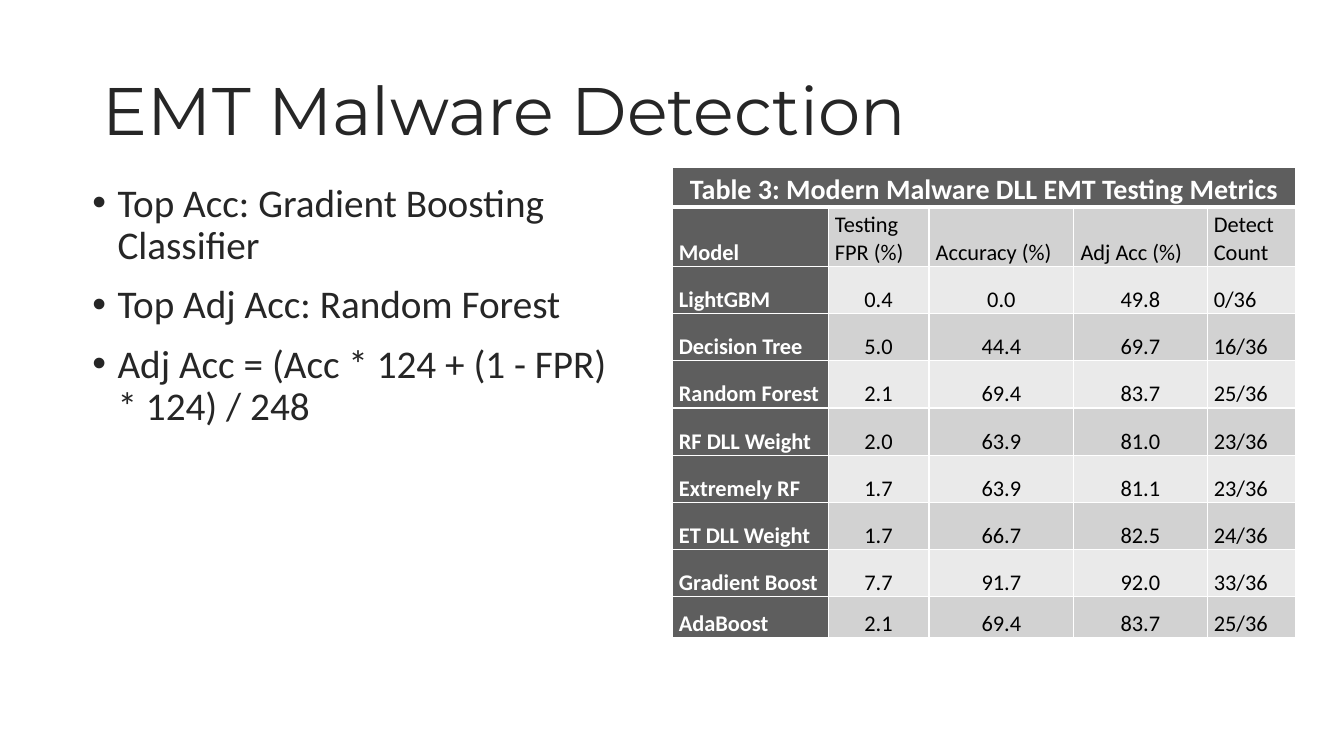
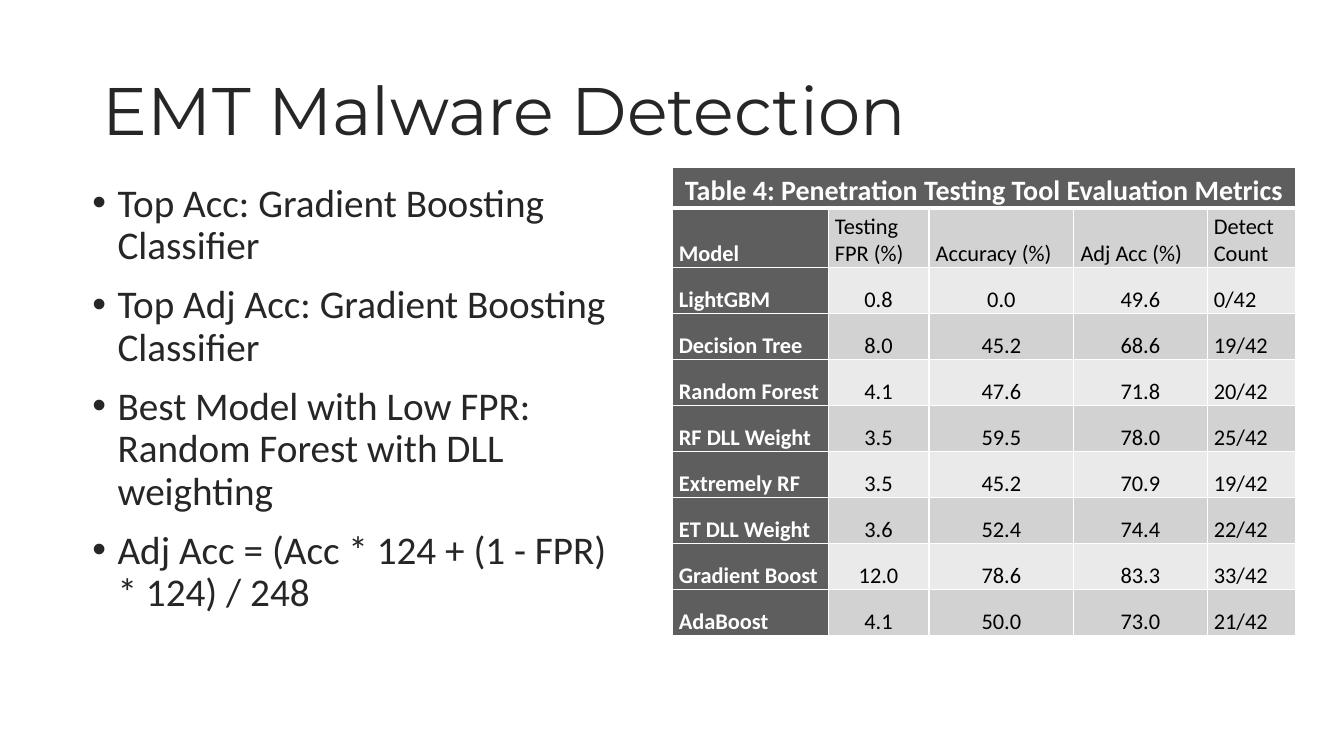
"""Build two slides of malware detection results, each with bullets and a metrics table."""
from lxml import etree
from pptx import Presentation
from pptx.dml.color import RGBColor
from pptx.enum.text import MSO_ANCHOR, MSO_AUTO_SIZE, PP_ALIGN
from pptx.oxml.ns import qn
from pptx.util import Cm, Pt

LEFT, CENTER, JUSTIFY = PP_ALIGN.LEFT, PP_ALIGN.CENTER, PP_ALIGN.JUSTIFY
MIDDLE, BOTTOM = MSO_ANCHOR.MIDDLE, MSO_ANCHOR.BOTTOM
NO_AUTOFIT = MSO_AUTO_SIZE.NONE

COLORS = {
    "text": "262626",
    "header": "5E5E5E",
    "dark_band": "D2D2D2",
    "light_band": "EAEAEA",
    "white": "FFFFFF",
    "black": "000000",
}
TITLE_FONT, BODY_FONT = "Montserrat", "Calibri"
TITLE = "EMT Malware Detection"
FORMULA = "Adj Acc = (Acc * 124 + (1 - FPR) * 124) / 248"
COLUMNS = ["Model", "Testing FPR (%)", "Accuracy (%)", "Adj Acc (%)", "Detect Count"]
COLUMN_WIDTHS = [3.93, 2.54, 3.65, 3.36, 2.23]
VALUE_ALIGNMENTS = [JUSTIFY, CENTER, CENTER, CENTER, LEFT]

SLIDES = [
    {
        "bullets": [
            "Top Acc: Gradient Boosting Classifier",
            "Top Adj Acc: Random Forest",
            FORMULA,
        ],
        "caption": "Table 3: Modern Malware DLL EMT Testing Metrics",
        "metrics": [
            ("LightGBM", "0.4", "0.0", "49.8", "0/36"),
            ("Decision Tree", "5.0", "44.4", "69.7", "16/36"),
            ("Random Forest", "2.1", "69.4", "83.7", "25/36"),
            ("RF DLL Weight", "2.0", "63.9", "81.0", "23/36"),
            ("Extremely RF", "1.7", "63.9", "81.1", "23/36"),
            ("ET DLL Weight", "1.7", "66.7", "82.5", "24/36"),
            ("Gradient Boost", "7.7", "91.7", "92.0", "33/36"),
            ("AdaBoost", "2.1", "69.4", "83.7", "25/36"),
        ],
        "row_heights": [0.99, 1.5] + [1.19] * 7 + [1.02],
    },
    {
        "bullets": [
            "Top Acc: Gradient Boosting Classifier",
            "Top Adj Acc: Gradient Boosting Classifier",
            "Best Model with Low FPR: Random Forest with DLL weighting",
            FORMULA,
        ],
        "caption": "Table 4: Penetration Testing Tool Evaluation Metrics",
        "metrics": [
            ("LightGBM", "0.8", "0.0", "49.6", "0/42"),
            ("Decision Tree", "8.0", "45.2", "68.6", "19/42"),
            ("Random Forest", "4.1", "47.6", "71.8", "20/42"),
            ("RF DLL Weight", "3.5", "59.5", "78.0", "25/42"),
            ("Extremely RF", "3.5", "45.2", "70.9", "19/42"),
            ("ET DLL Weight", "3.6", "52.4", "74.4", "22/42"),
            ("Gradient Boost", "12.0", "78.6", "83.3", "33/42"),
            ("AdaBoost", "4.1", "50.0", "73.0", "21/42"),
        ],
        "row_heights": [1.02, 1.5] + [1.16] * 8,
    },
]


def format_runs(paragraph, font_name, size, color, bold=False):
    for run in paragraph.runs:
        run.font.name = font_name
        run.font.size = Pt(size)
        run.font.bold = bold
        run.font.color.rgb = RGBColor.from_string(COLORS[color])


def set_title(slide):
    title = slide.shapes.title
    title.left, title.top, title.width, title.height = Cm(2.34), Cm(1.02), Cm(29.21), Cm(3.68)
    text_frame = title.text_frame
    text_frame.text = TITLE
    text_frame.auto_size = NO_AUTOFIT
    text_frame.vertical_anchor = MIDDLE
    paragraph = text_frame.paragraphs[0]
    paragraph.alignment = LEFT
    paragraph.line_spacing = 0.9
    format_runs(paragraph, TITLE_FONT, 48, "text")


def add_bullets(slide, bullets):
    text_box = slide.shapes.add_textbox(Cm(2.08), Cm(4.5), Cm(13.74), Cm(13.28))
    text_frame = text_box.text_frame
    text_frame.word_wrap = True
    text_frame.text = "\n".join(bullets)
    for paragraph in text_frame.paragraphs:
        paragraph.line_spacing = 0.9
        paragraph.space_before = Pt(12)
        format_runs(paragraph, BODY_FONT, 28, "text")
        properties = paragraph._p.get_or_add_pPr()
        indent = Pt(18)
        properties.set("marL", str(indent))
        properties.set("indent", str(-indent))
        etree.SubElement(properties, qn("a:buFont"), typeface="Arial")
        etree.SubElement(properties, qn("a:buChar"), char="•")


def set_borders(cell, top, bottom):
    properties = cell._tc.get_or_add_tcPr()
    for side, width in (("L", 1), ("R", 1), ("T", top), ("B", bottom)):
        line = etree.SubElement(properties, qn(f"a:ln{side}"), w=str(Pt(width)))
        fill = etree.SubElement(line, qn("a:solidFill"))
        etree.SubElement(fill, qn("a:srgbClr"), val=COLORS["white"])


def format_cell(cell, row, column):
    set_borders(cell, top=3 if row == 1 else 1, bottom=3 if row == 0 else 1)
    is_header = row == 0 or column == 0
    band = "dark_band" if row % 2 else "light_band"
    cell.fill.solid()
    cell.fill.fore_color.rgb = RGBColor.from_string(COLORS["header" if is_header else band])
    cell.vertical_anchor = BOTTOM
    cell.margin_left = cell.margin_right = Cm(0.17)
    cell.margin_top = cell.margin_bottom = 0
    paragraph = cell.text_frame.paragraphs[0]
    paragraph.space_after = Pt(6)
    if row == 0:
        paragraph.alignment = CENTER
    else:
        paragraph.alignment = JUSTIFY if row == 1 else VALUE_ALIGNMENTS[column]
    format_runs(paragraph, BODY_FONT, 16 if row else 20, "white" if is_header else "black", is_header)


def add_metrics_table(slide, caption, metrics, row_heights):
    rows = [[caption], COLUMNS, *metrics]
    frame = slide.shapes.add_table(
        len(rows), len(COLUMNS), Cm(16.94), Cm(4.22), Cm(sum(COLUMN_WIDTHS)), Cm(sum(row_heights))
    )
    table = frame.table
    for column, width in zip(table.columns, COLUMN_WIDTHS):
        column.width = Cm(width)
    for row, height in zip(table.rows, row_heights):
        row.height = Cm(height)
    table.cell(0, 0).merge(table.cell(0, len(COLUMNS) - 1))
    for row_index, values in enumerate(rows):
        for column_index, value in enumerate(values):
            table.cell(row_index, column_index).text_frame.text = value
        for column_index in range(len(COLUMNS)):
            format_cell(table.cell(row_index, column_index), row_index, column_index)


def main():
    presentation = Presentation()
    presentation.slide_width, presentation.slide_height = Cm(33.87), Cm(19.05)
    title_only = presentation.slide_layouts[5]
    for content in SLIDES:
        slide = presentation.slides.add_slide(title_only)
        set_title(slide)
        add_bullets(slide, content["bullets"])
        add_metrics_table(slide, content["caption"], content["metrics"], content["row_heights"])
    presentation.save("out.pptx")


if __name__ == "__main__":
    main()
